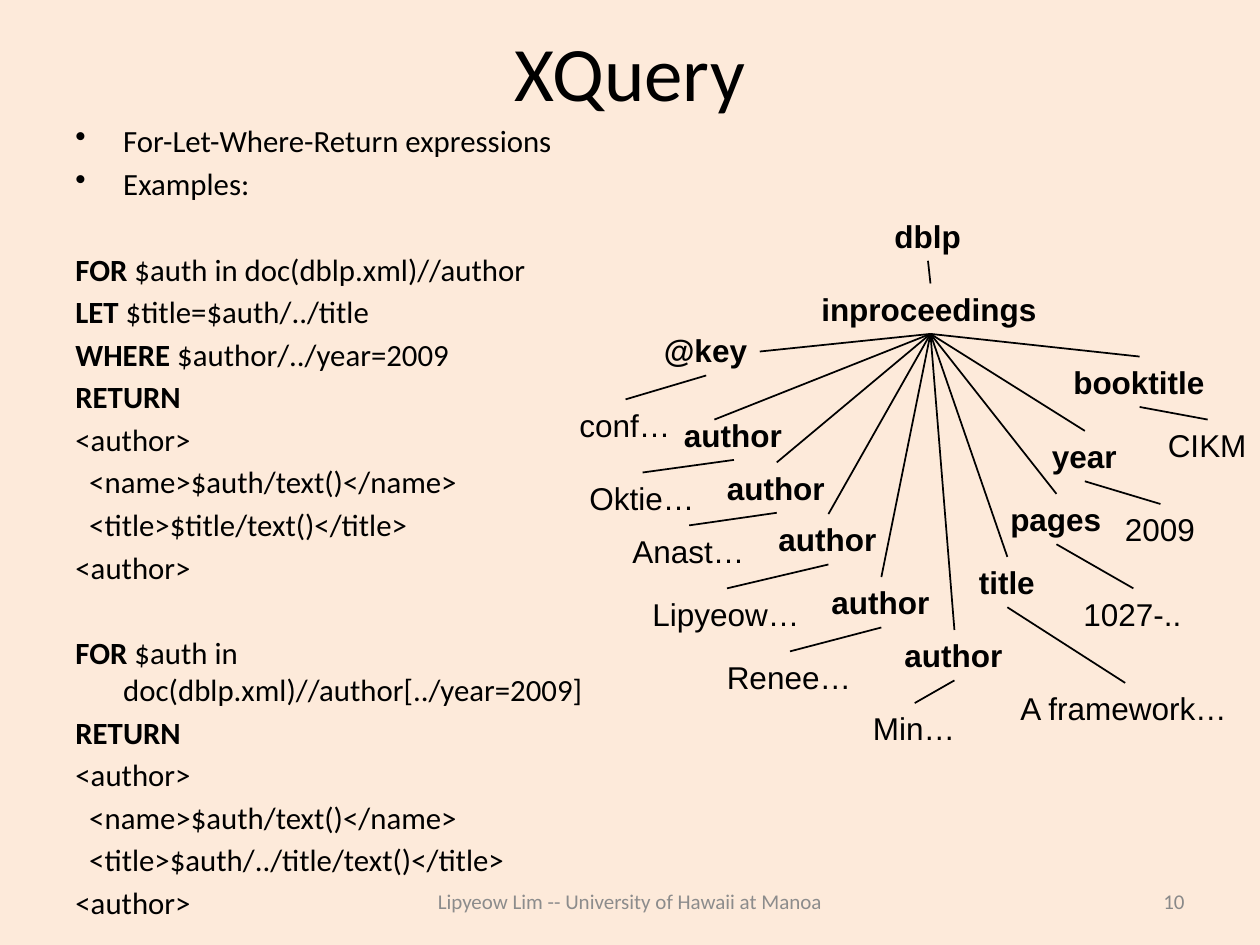
import pptx
import pptx.dml.color
import pptx.enum.shapes
import pptx.enum.text
import pptx.oxml.ns
import pptx.util
from lxml import etree

Inches = pptx.util.Inches
Pt = pptx.util.Pt
ALIGN = pptx.enum.text.PP_ALIGN
ANCHOR = pptx.enum.text.MSO_ANCHOR
BLACK = "000000"
NODE_HEIGHT = 0.4
LINE_GAP = 3.2
BLOCK_GAP = 27.8
HANGING = 0.38

BULLETS = ["For-Let-Where-Return expressions", "Examples:"]
QUERIES = [
    [
        ("FOR", " $auth in doc(dblp.xml)//author"),
        ("LET", " $title=$auth/../title"),
        ("WHERE", " $author/../year=2009"),
        ("RETURN", ""),
        ("", "<author>"),
        ("", "  <name>$auth/text()</name>"),
        ("", "  <title>$title/text()</title>"),
        ("", "<author>"),
    ],
    [
        ("FOR", " $auth in doc(dblp.xml)//author[../year=2009]"),
        ("RETURN", ""),
        ("", "<author>"),
        ("", "  <name>$auth/text()</name>"),
        ("", "  <title>$auth/../title/text()</title>"),
        ("", "<author>"),
    ],
]

ROOT = ("dblp", 7, 1.67, 0.73)
RECORD = ("inproceedings", 6.42, 2.25, 1.93)
FIELDS = [
    (("@key", 5.17, 2.58, 0.87), ("conf…", 4.5, 3.17, 0.93)),
    (("author", 5.33, 3.25, 0.99), ("Oktie…", 4.58, 3.75, 1.04)),
    (("author", 5.67, 3.67, 0.99), ("Anast…", 4.92, 4.17, 1.1)),
    (("author", 6.08, 4.08, 0.99), ("Lipyeow…", 5.08, 4.67, 1.38)),
    (("author", 6.5, 4.58, 0.99), ("Renee…", 5.67, 5.17, 1.2)),
    (("author", 7.08, 5, 0.99), ("Min…", 6.83, 5.58, 0.86)),
    (("title", 7.67, 4.42, 0.65), ("A framework…", 8, 5.42, 1.86)),
    (("pages", 7.92, 3.92, 0.93), ("1027-..", 8.5, 4.67, 0.99)),
    (("year", 8.25, 3.42, 0.72), ("2009", 8.83, 4, 0.76)),
    (("booktitle", 8.42, 2.83, 1.25), ("CIKM", 9.17, 3.33, 0.83)),
]
SIDE_ENTRIES = {0: (6.03, 2.79), 1: (5.67, 3.33)}


def color(value):
    return pptx.dml.color.RGBColor.from_string(value)


def add_box(shapes, left, top, width, height, anchor=ANCHOR.TOP, wrap=True):
    box = shapes.add_textbox(Inches(left), Inches(top), Inches(width), Inches(height))
    box.text_frame.word_wrap = wrap
    box.text_frame.vertical_anchor = anchor
    return box.text_frame


def write(para, text, size=18, font="Calibri", fill=BLACK, bold=False, align=ALIGN.LEFT):
    para.alignment = align
    span = para.add_run()
    span.text = text
    span.font.size = Pt(size)
    span.font.name = font
    span.font.bold = bold
    span.font.color.rgb = color(fill)


def add_hanging_para(frame, gap, bullet=False):
    if gap:
        para = frame.add_paragraph()
        para.space_before = Pt(gap)
    else:
        para = frame.paragraphs[0]
    properties = para._p.get_or_add_pPr()
    properties.set("marL", str(Inches(HANGING)))
    properties.set("indent", str(-Inches(HANGING)))
    if bullet:
        mark = etree.SubElement(properties, pptx.oxml.ns.qn("a:buChar"))
        mark.set("char", "•")
    return para


def add_body(page):
    frame = add_box(page.shapes, 0.5, 0.92, 4.5, 5.92)
    for index, text in enumerate(BULLETS):
        para = add_hanging_para(frame, LINE_GAP if index else 0, bullet=True)
        write(para, text, size=17.6)
    for query in QUERIES:
        for index, (keyword, rest) in enumerate(query):
            para = add_hanging_para(frame, LINE_GAP if index else BLOCK_GAP)
            if keyword:
                write(para, keyword, size=17.6, bold=True)
            if rest:
                write(para, rest, size=17.6)


def add_node(shapes, node, bold=True):
    text, left, top, width = node
    frame = add_box(shapes, left, top, width, NODE_HEIGHT, wrap=False)
    frame.auto_size = pptx.enum.text.MSO_AUTO_SIZE.SHAPE_TO_FIT_TEXT
    write(frame.paragraphs[0], text, font="Arial", bold=bold)


def top_of(node):
    _, left, top, width = node
    return left + width / 2, top


def bottom_of(node):
    x, top = top_of(node)
    return x, top + NODE_HEIGHT


def add_edge(shapes, start, end):
    points = [Inches(value) for value in (*start, *end)]
    edge = shapes.add_connector(pptx.enum.shapes.MSO_CONNECTOR.STRAIGHT, *points)
    edge.line.color.rgb = color(BLACK)
    edge.line.width = Pt(1)
    etree.SubElement(edge._element.spPr, pptx.oxml.ns.qn("a:effectLst"))


def add_tree(page):
    shapes = page.shapes.add_group_shape().shapes
    add_node(shapes, ROOT)
    add_node(shapes, RECORD)
    add_edge(shapes, bottom_of(ROOT), top_of(RECORD))
    for index, (field, value) in enumerate(FIELDS):
        add_node(shapes, field)
        add_node(shapes, value, bold=False)
        add_edge(shapes, bottom_of(RECORD), SIDE_ENTRIES.get(index, top_of(field)))
        add_edge(shapes, bottom_of(field), top_of(value))


def add_line_of_text(page, place, text, **text_format):
    frame = add_box(page.shapes, *place, anchor=ANCHOR.MIDDLE)
    write(frame.paragraphs[0], text, **text_format)


def main():
    deck = pptx.Presentation()
    deck.slide_width = Inches(10)
    deck.slide_height = Inches(7.5)
    page = deck.slides.add_slide(deck.slide_layouts[6])
    page.background.fill.solid()
    page.background.fill.fore_color.rgb = color("FDEADA")
    add_line_of_text(page, (0.5, 0.3, 9, 0.53), "XQuery", size=44, align=ALIGN.CENTER)
    add_body(page)
    add_line_of_text(page, (3, 6.95, 4, 0.4), "Lipyeow Lim -- University of Hawaii at Manoa",
                     size=12, fill="8C8C8C", align=ALIGN.CENTER)
    add_line_of_text(page, (7.17, 6.95, 2.33, 0.4), "10",
                     size=12, fill="898989", align=ALIGN.RIGHT)
    add_tree(page)
    deck.save("out.pptx")


if __name__ == "__main__":
    main()
